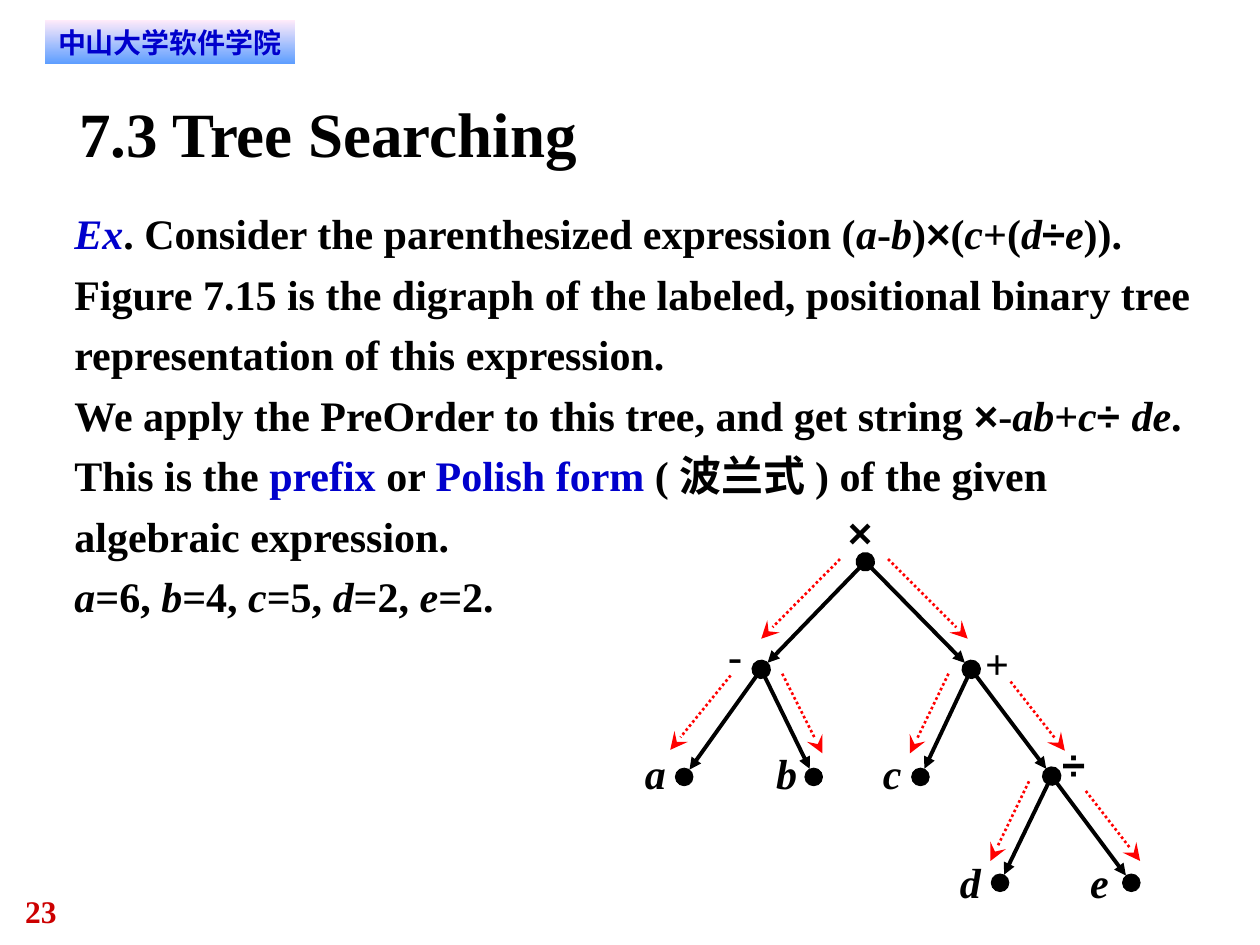
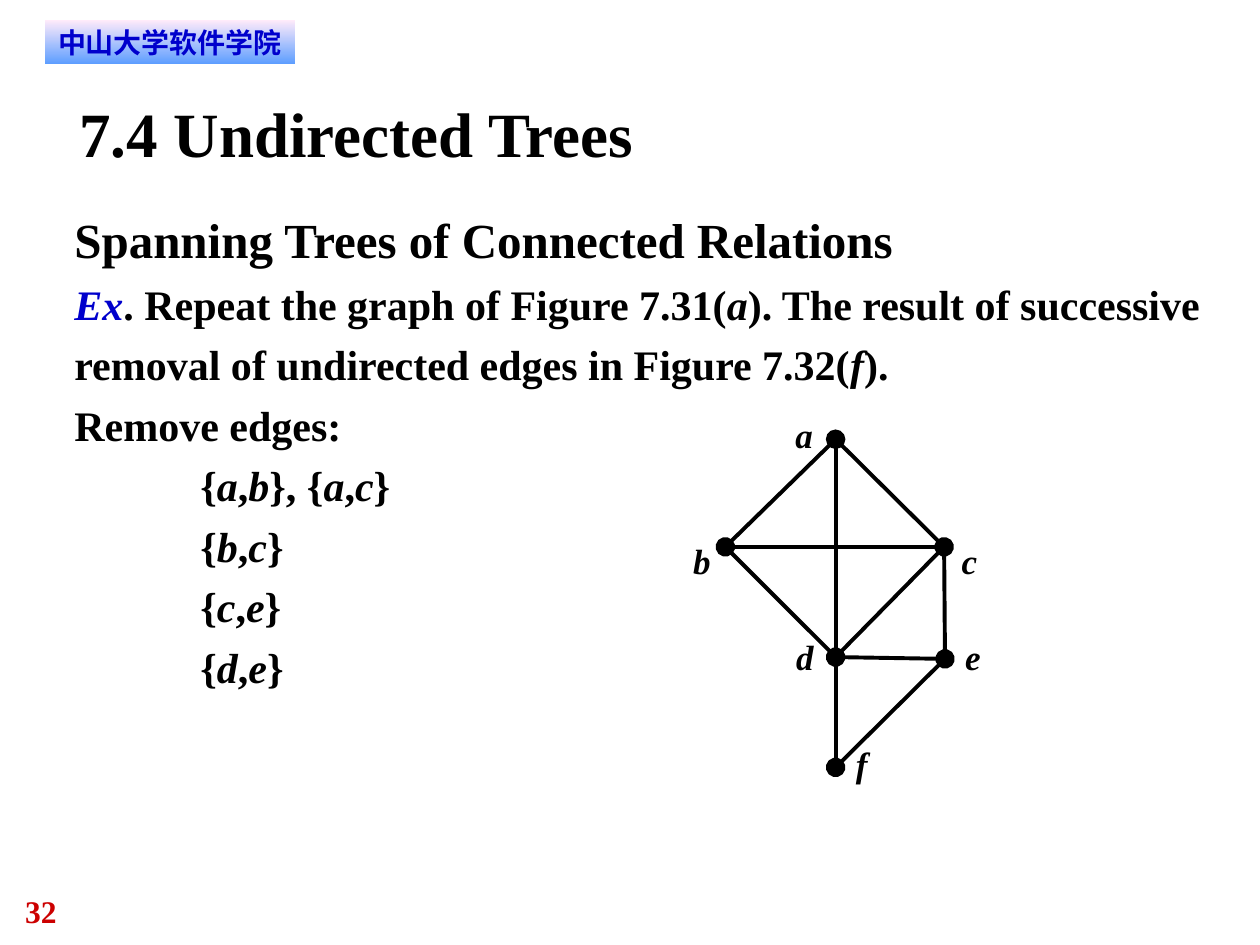
from math import hypot

from lxml.etree import SubElement
from pptx import Presentation
from pptx.dml.color import RGBColor
from pptx.enum.dml import MSO_LINE
from pptx.enum.shapes import MSO_CONNECTOR, MSO_SHAPE
from pptx.enum.text import MSO_ANCHOR, MSO_AUTO_SIZE, PP_ALIGN
from pptx.oxml.ns import qn
from pptx.util import Pt

STRAIGHT, OVAL, RECT = MSO_CONNECTOR.STRAIGHT, MSO_SHAPE.OVAL, MSO_SHAPE.RECTANGLE
DOTTED = MSO_LINE.ROUND_DOT
TOP, NO_FIT = MSO_ANCHOR.TOP, MSO_AUTO_SIZE.NONE
LEFT, CENTER = PP_ALIGN.LEFT, PP_ALIGN.CENTER

COLORS = {"ink": "000000", "blue": "0000CC", "number": "CC0000",
          "path": "FF0000", "pale": "FFEBFA", "sky": "5E9EFF"}
SERIF, SANS, BADGE = "Times New Roman", "Arial", "DejaVu Sans"
MARKS = "*^~"
RATIOS = {"c": .44, "e": .44, "f": .33, "-": .33, "+": .57, "×": .6, "÷": .6}
DOT = 10.1
GAP = 5.2

TREE = {
    "×": (134.5, 33, 124.5, 1.5), "-": (75, 94.5, 56, 72),
    "+": (195, 94.5, 203, 76.5), "÷": (241, 155.5, 247, 134),
    "a": (31, 156, 8.5, 139), "b": (105, 156, 83.5, 139),
    "c": (166, 156, 144.5, 139), "d": (211.5, 216.5, 188.5, 201.5),
    "e": (286.5, 216.5, 263, 201.5)}
KIDS = {"×": "-+", "-": "ab", "+": "c÷", "÷": "de"}
STEPS = [
    (120, 31.5, 75, 77), (147.5, 31.5, 193, 77),
    (57.5, 98, 23, 140.5), (87, 97, 110, 142.5),
    (182, 97, 160, 142.5), (217.5, 101.5, 248.5, 141),
    (228, 158.5, 206, 204), (260.5, 164, 291.5, 204)]

GRAPH = {
    "a": (87.5, 21, 64.5, 6), "b": (24.5, 82.5, 6, 78),
    "c": (149.5, 82.5, 159.5, 78), "d": (87.5, 145.5, 65, 133),
    "e": (150, 146.5, 161.5, 133), "f": (87.5, 208.5, 99, 194)}
EDGES = {"bc": (), "bd": ("head",), "cd": ("head", "tail"), "ac": (),
         "ab": (), "ad": ("head",), "df": (), "ce": (),
         "ef": ("head", "tail"), "de": ()}

TREE_TEXT = [
    (24, 0, "^*Ex*^. Consider the parenthesized expression "
            "(*a*-*b*)~×~(*c*+(*d*~÷~*e*))."),
    (24, 0, "Figure 7.15 is the digraph of the labeled, positional binary "
            "tree representation of this expression."),
    (24, 0, "We apply the PreOrder to this tree, and get string "
            "~×~-*ab*+*c*~÷ ~*de*. This is the ^prefix^ or ^Polish form^ "
            "(波兰式) of the given algebraic expression."),
    (24, 0, "*a*=6, *b*=4, *c*=5, *d*=2, *e*=2.")]
SPAN_TEXT = [
    (28, 0, "Spanning Trees of Connected Relations"),
    (24, 0, "^*Ex*^. Repeat the graph of Figure 7.31(*a*). The result of "
            "successive removal of undirected edges in Figure 7.32(*f*)."),
    (24, 0, "Remove edges:"),
    (24, 72, "{*a*,*b*}, {*a*,*c*}"),
    *((24, 72, f"{{*{x}*,*{y}*}}") for x, y in ("bc", "ce", "de"))]


def tint(key):
    """Give the colour of a key."""
    return RGBColor.from_string(COLORS[key])


def apply(obj, **values):
    """Set attributes from format values."""
    for name, value in values.items():
        setattr(obj, name, value)


def split(text):
    """Cut marked text into pieces with the marks that hold for each."""
    live, piece = set(), ""
    for char in text:
        if char not in MARKS:
            piece += char
            continue
        if piece:
            yield piece, set(live)
        live ^= {char}
        piece = ""
    if piece:
        yield piece, live


def write(para, text, size, color="ink", face=SERIF):
    """Add marked text to a paragraph as bold runs."""
    for piece, live in split(text):
        run = para.add_run()
        run.text = piece
        apply(run.font, size=Pt(size), bold=True, italic="*" in live,
              name=SANS if "~" in live else face)
        run.font.color.rgb = tint("blue" if "^" in live else color)


def frame(shape, box, wrap=True, pad=(0, 0)):
    """Place a shape and set up its text frame."""
    for name, value in zip(("left", "top", "width", "height"), box):
        setattr(shape, name, Pt(value))
    area = shape.text_frame
    apply(area, word_wrap=wrap, auto_size=NO_FIT, vertical_anchor=TOP,
          margin_left=Pt(pad[0]), margin_right=Pt(pad[0]),
          margin_top=Pt(pad[1]), margin_bottom=Pt(pad[1]))
    return area


def label(shapes, box, text, size, color="ink", wrap=True):
    """Add a plain text box."""
    area = frame(shapes.add_textbox(0, 0, 0, 0), box, wrap)
    write(area.paragraphs[0], text, size, color)


def link(shapes, start, end, color="ink", width=2.25, dash=None, **ends):
    """Draw a line with optional large or medium ends."""
    line = shapes.add_connector(STRAIGHT, *map(Pt, (*start, *end)))
    line.line.color.rgb = tint(color)
    line.line.width = Pt(width)
    if dash:
        line.line.dash_style = dash
    props = line._element.spPr
    for side in ("head", "tail"):
        if side in ends:
            kind = ends[side]
            size = "med" if kind == "triangle" else "lg"
            SubElement(props.find(qn("a:ln")), qn(f"a:{side}End"),
                       type=kind, w=size, len=size)
    SubElement(props, qn("a:effectLst"))


def dot(shapes, x, y):
    """Draw a round node about its centre."""
    node = shapes.add_shape(OVAL, Pt(x - DOT / 2), Pt(y - DOT / 2),
                            Pt(DOT), Pt(DOT))
    node.shadow.inherit = False
    node.fill.solid()
    node.fill.fore_color.rgb = tint("ink")
    node.line.color.rgb = tint("ink")
    node.line.width = Pt(.5)


def shift(nodes, left, top):
    """Move node and label points to a box corner."""
    return {key: (x + left, y + top, u + left, v + top)
            for key, (x, y, u, v) in nodes.items()}


def names(shapes, nodes, size):
    """Write the name of each node."""
    for key, (_, _, x, y) in nodes.items():
        text = f"*{key}*" if key.isalpha() else f"~{key}~" if key in "×÷" else key
        box = (x, y, RATIOS.get(key, .5) * size, size * 1.2)
        label(shapes, box, text, size, wrap=False)


def tree(slide, left, top):
    """Draw the expression tree and its search steps."""
    shapes = slide.shapes.add_group_shape().shapes
    nodes = shift(TREE, left, top)
    for root, kids in KIDS.items():
        x, y = nodes[root][:2]
        for kid in kids:
            u, v = nodes[kid][:2]
            part = 1 - GAP / hypot(u - x, v - y)
            tip = (x + (u - x) * part, y + (v - y) * part)
            ends = {"head": "oval"} if kid == kids[0] else {}
            link(shapes, (x, y), tip, tail="triangle", **ends)
    for key in nodes.keys() - KIDS.keys():
        dot(shapes, *nodes[key][:2])
    names(shapes, nodes, 24)
    for x, y, u, v in STEPS:
        link(slide.shapes, (x + left, y + top), (u + left, v + top),
             "path", 1.5, DOTTED, tail="stealth")


def graph(slide, left, top):
    """Draw the undirected graph."""
    nodes = shift(GRAPH, left, top)
    for (one, two), sides in EDGES.items():
        link(slide.shapes, nodes[one][:2], nodes[two][:2],
             **{side: "oval" for side in sides})
    names(slide.shapes, nodes, 20)


def badge(slide, box):
    """Add the school band."""
    band = slide.shapes.add_shape(RECT, 0, 0, 0, 0)
    area = frame(band, box, pad=(5.75, 2.9))
    band.shadow.inherit = False
    band.line.fill.background()
    band.fill.gradient()
    band.fill.gradient_angle = 270
    for stop, key in zip(band.fill.gradient_stops, ("pale", "sky")):
        stop.color.rgb = tint(key)
    area.paragraphs[0].alignment = CENTER
    write(area.paragraphs[0], "中山大学软件学院", 16, "blue", BADGE)


def body(shape, box, lines):
    """Fill the body with unbulleted paragraphs."""
    area = frame(shape, box)
    for num, (size, inset, text) in enumerate(lines):
        para = area.add_paragraph() if num else area.paragraphs[0]
        props = para._p.get_or_add_pPr()
        props.set("marL", str(Pt(inset)))
        props.set("indent", "0")
        SubElement(props, qn("a:buNone"))
        apply(para, line_spacing=1.2, space_before=Pt(0), alignment=LEFT)
        write(para, text, size)


def page(deck, number, title, lines, height):
    """Add a slide with its band, title, body and number."""
    slide = deck.slides.add_slide(deck.slide_layouts[1])
    label(slide.shapes, (14.4, 510, 54, 21.6), number, 18, "number")
    badge(slide, (25.5, 11.5, 143, 25))
    head = frame(slide.shapes.title, (45.4, 54, 630, 43.2)).paragraphs[0]
    head.alignment = LEFT
    write(head, title, 36)
    body(slide.placeholders[1], (42.5, 113, 644.5, height), lines)
    return slide


def main():
    """Build the deck."""
    deck = Presentation()
    apply(deck, slide_width=Pt(720), slide_height=Pt(540))
    tree(page(deck, "23", "7.3 Tree Searching", TREE_TEXT, 242), 360, 288)
    graph(page(deck, "32", "7.4 Undirected Trees", SPAN_TEXT, 282), 390, 230)
    deck.save("out.pptx")


if __name__ == "__main__":
    main()
